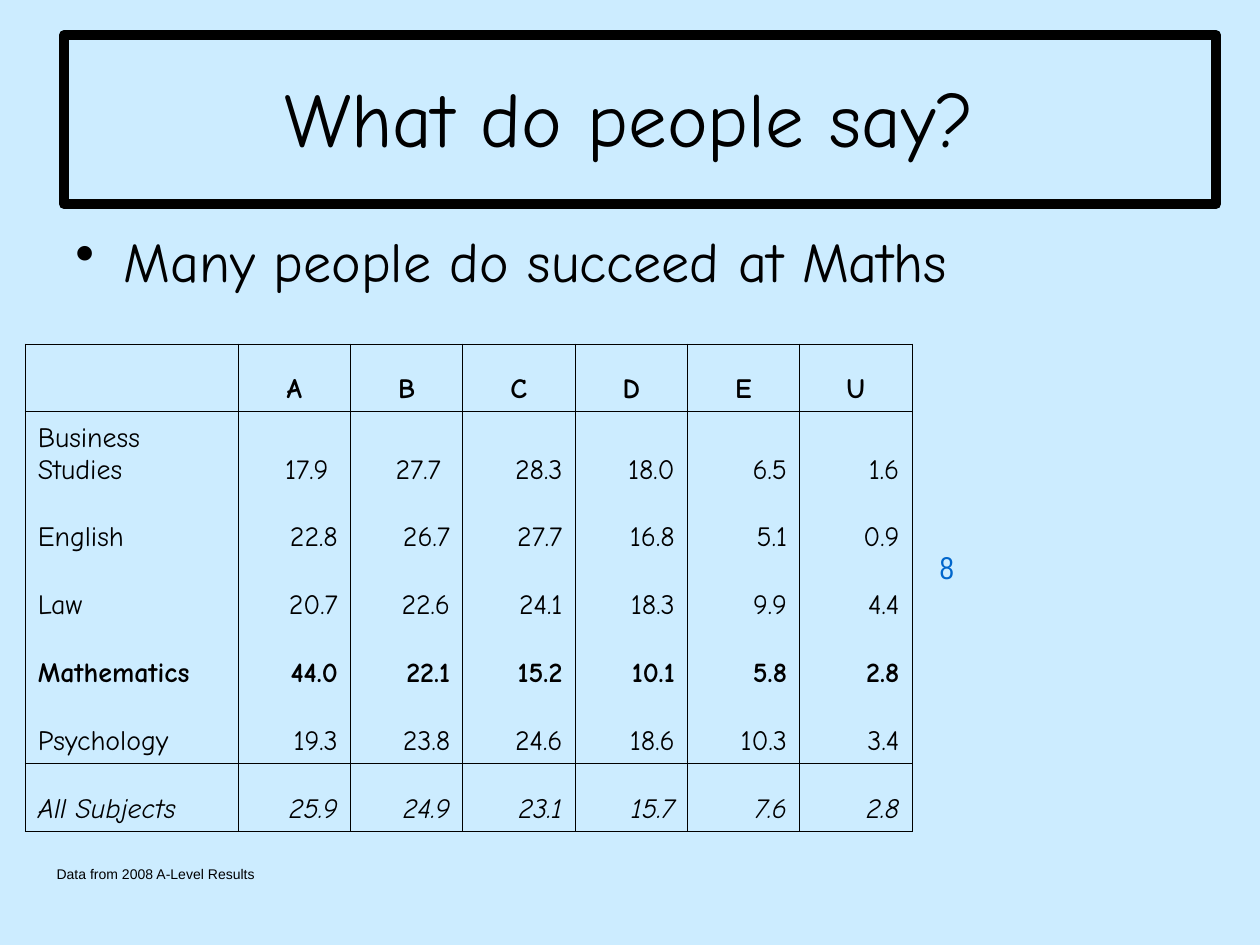
from lxml import etree
from pptx import Presentation
from pptx.dml.color import RGBColor
from pptx.enum.shapes import MSO_SHAPE
from pptx.enum.text import MSO_ANCHOR, PP_ALIGN
from pptx.oxml.ns import qn
from pptx.util import Inches, Pt

LEFT, CENTER, RIGHT = PP_ALIGN.LEFT, PP_ALIGN.CENTER, PP_ALIGN.RIGHT
TOP, MIDDLE, BOTTOM = MSO_ANCHOR.TOP, MSO_ANCHOR.MIDDLE, MSO_ANCHOR.BOTTOM
RECTANGLE = MSO_SHAPE.RECTANGLE

COLORS = {"background": "CCECFF", "ink": "000000", "number": "0066CC", "outline": "99CCFF"}
GRID_COLUMNS, GRID_ROWS = 100, 75
HEADERS = ["", "A", "B", "C", "D", "E", "U"]
RESULTS = [
    ["Business Studies", "17.9 ", "27.7 ", "28.3", "18.0", "6.5", "1.6"],
    ["English", "22.8", "26.7", "27.7", "16.8", "5.1", "0.9"],
    ["Law", "20.7", "22.6", "24.1", "18.3", "9.9", "4.4"],
    ["Mathematics", "44.0", "22.1", "15.2", "10.1", "5.8", "2.8"],
    ["Psychology", "19.3", "23.8", "24.6", "18.6", "10.3", "3.4"],
    ["All Subjects", "25.9", "24.9", "23.1", "15.7", "7.6", "2.8"],
]


class SlideBuilder:
    """Holds the style and the current slide, placing elements on a 100 by 75 grid."""

    def __init__(self, presentation):
        self.font = "Comic Neue"
        self.column = presentation.slide_width / GRID_COLUMNS
        self.row = presentation.slide_height / GRID_ROWS
        self.slide = presentation.slides.add_slide(presentation.slide_layouts[6])
        fill = self.slide.background.fill
        fill.solid()
        fill.fore_color.rgb = self.color("background")

    def color(self, name):
        return RGBColor.from_string(COLORS[name])

    def area(self, left, top, width, height):
        return (int(left * self.column), int(top * self.row),
                int(width * self.column), int(height * self.row))

    def line_xml(self, parent, tag, points, color):
        line = etree.SubElement(parent, qn(tag), w=str(Pt(points)))
        if color:
            fill = etree.SubElement(line, qn("a:solidFill"))
            etree.SubElement(fill, qn("a:srgbClr"), val=COLORS[color])
        else:
            etree.SubElement(line, qn("a:noFill"))
        return line

    def add_run(self, paragraph, text, size, font=None, color="ink", bold=False, italic=False):
        run = paragraph.add_run()
        run.text = text
        run.font.name = font or self.font
        run.font.size = Pt(size)
        run.font.bold = bold
        run.font.italic = italic
        run.font.color.rgb = self.color(color)
        return run

    def text(self, area, text, size, align=LEFT, anchor=TOP, wrap=True, bullet=False,
             outline=None, **style):
        frame = self.slide.shapes.add_textbox(*self.area(*area)).text_frame
        frame.word_wrap = wrap
        frame.vertical_anchor = anchor
        paragraph = frame.paragraphs[0]
        paragraph.alignment = align
        if bullet:
            properties = paragraph._p.get_or_add_pPr()
            properties.set("marL", str(Inches(0.38)))
            properties.set("indent", str(-Inches(0.38)))
            bullet_color = etree.SubElement(properties, qn("a:buClr"))
            etree.SubElement(bullet_color, qn("a:srgbClr"), val=COLORS["ink"])
            etree.SubElement(properties, qn("a:buChar"), char="•")
        run = self.add_run(paragraph, text, size, **style)
        if outline:
            properties = run._r.get_or_add_rPr()
            properties.insert(0, self.line_xml(properties, "a:ln", 1.5, outline))

    def frame(self, area, points):
        shape = self.slide.shapes.add_shape(RECTANGLE, *self.area(*area))
        shape.shadow.inherit = False
        shape.fill.background()
        shape.line.color.rgb = self.color("ink")
        shape.line.width = Pt(points)

    def cell(self, cell, text, align, rules, **style):
        cell.vertical_anchor = BOTTOM
        properties = cell._tc.get_or_add_tcPr()
        for side in "LRTB":
            self.line_xml(properties, f"a:ln{side}", 0.45, "ink" if side in rules else None)
        cell.fill.background()
        if text:
            paragraph = cell.text_frame.paragraphs[0]
            paragraph.alignment = align
            self.add_run(paragraph, text, 16, **style)

    def table(self, area, headers, results, label_width, tall_row):
        rows = [headers] + results
        last = len(rows) - 1
        table = self.slide.shapes.add_table(len(rows), len(headers), *self.area(*area)).table
        table.first_row = table.horz_banding = False
        value_width = (area[2] - label_width) / (len(headers) - 1)
        row_height = (area[3] - tall_row) / last
        for index, column in enumerate(table.columns):
            column.width = int((value_width if index else label_width) * self.column)
        for index, values in enumerate(rows):
            table.rows[index].height = int((tall_row if index == 1 else row_height) * self.row)
            rules = "LR" + "T" * (index in (0, 1, last)) + "B" * (index in (0, last - 1, last))
            bold = index == 0 or values[0] == "Mathematics"
            for position, value in enumerate(values):
                align = CENTER if index == 0 else RIGHT if position else LEFT
                self.cell(table.cell(index, position), value, align, rules,
                          bold=bold, italic=index == last)


def main():
    presentation = Presentation()
    presentation.slide_width = Inches(10)
    presentation.slide_height = Inches(7.5)
    builder = SlideBuilder(presentation)
    builder.text((5, 3, 90, 12.5), "What do people say?", 44, CENTER, MIDDLE)
    builder.text((5, 17.5, 90, 49.5), "Many people do succeed at Maths", 32, bullet=True)
    builder.frame((5.1, 2.8, 91.4, 13.4), 6)
    builder.text((73.6, 43, 22.2, 27.6), "8", 18, wrap=False, font="Arial Narrow",
                 color="number", outline="outline")
    builder.table((2, 27.3, 70.4, 38.7), HEADERS, RESULTS, label_width=16.9, tall_row=6.4)
    builder.text((3.5, 68.2, 18.9, 2.4), "Data from 2008 A-Level Results", 8, font="Arial")
    presentation.save("out.pptx")


if __name__ == "__main__":
    main()
